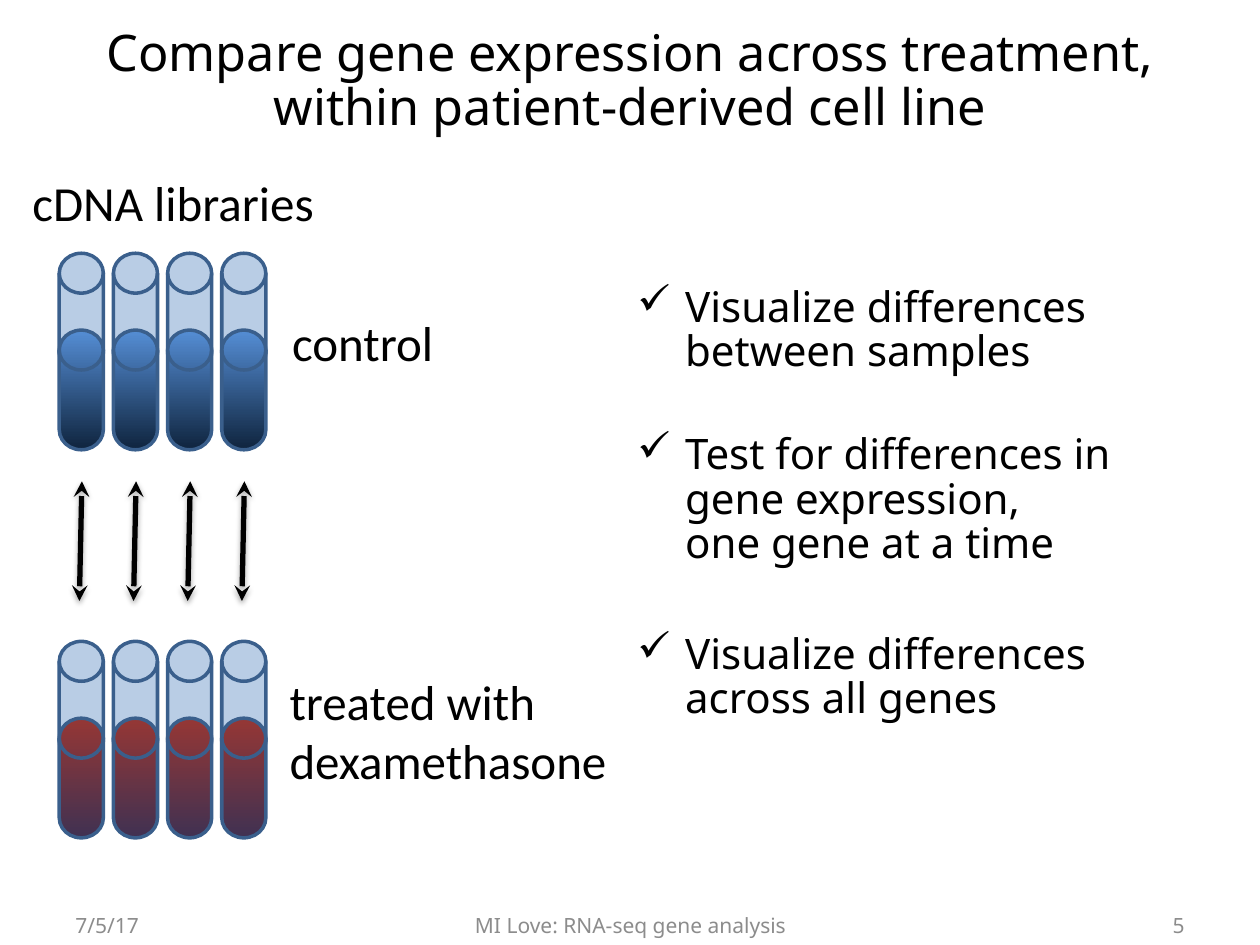
from dataclasses import dataclass

from lxml import etree
from pptx import Presentation
from pptx.dml.color import RGBColor
from pptx.enum.shapes import MSO_CONNECTOR as CONN, MSO_SHAPE as SHAPE
from pptx.enum.text import MSO_ANCHOR as ANCHOR, PP_ALIGN as ALIGN
from pptx.oxml.ns import qn
from pptx.util import Inches, Pt


@dataclass(frozen=True)
class Theme:
    text: str = "000000"
    muted: str = "8C8C8C"
    glass: str = "B9CDE5"
    outline: str = "3A5F8C"
    control: tuple = ("558ED5", "0F243E")
    treated: tuple = ("953735", "403152")
    main_font: str = "Noto Sans"
    label_font: str = "Calibri"
    title_size: float = 28.8
    body_size: float = 24
    label_size: float = 28
    footer_size: float = 12
    tight: float = 0.88


def rgb(value):
    return RGBColor.from_string(value)


class SlideBuilder:
    def __init__(self, slide, theme):
        self.slide = slide
        self.theme = theme

    def text(self, box, paragraphs, size, font=None, color=None, align=ALIGN.LEFT,
             anchor=ANCHOR.TOP, wrap=True, spacing=None):
        tf = self.slide.shapes.add_textbox(*map(Inches, box)).text_frame
        tf.word_wrap = wrap
        tf.vertical_anchor = anchor
        tf.text = "\n".join(paragraphs)
        for p in tf.paragraphs:
            p.alignment = align
            p.line_spacing = spacing
            for r in p.runs:
                r.font.size = Pt(size)
                r.font.name = font or self.theme.main_font
                r.font.color.rgb = rgb(color or self.theme.text)
        return tf

    def label(self, box, *lines):
        self.text(box, lines, self.theme.label_size, self.theme.label_font, wrap=False)

    def footer(self, left, width, words, align):
        self.text((left, 7.14, width, 0.4), [words], self.theme.footer_size,
                  color=self.theme.muted, align=align, anchor=ANCHOR.MIDDLE)

    def checklist(self, box, items):
        """Place (gap before in points, wording) items with check marks."""
        tf = self.text(box, [words for _, words in items], self.theme.body_size,
                       spacing=self.theme.tight)
        for p, (gap, _) in zip(tf.paragraphs, items):
            p.space_before = Pt(gap)
            props = p._p.get_or_add_pPr()
            props.set("marL", str(Inches(0.38)))
            props.set("indent", str(Inches(-0.38)))
            etree.SubElement(props, qn("a:buChar"), char="✓")

    def cylinder(self, left, top, colors):
        sp = self.slide.shapes.add_shape(SHAPE.FLOWCHART_MAGNETIC_DISK, Inches(left),
                                         Inches(top), Inches(0.35), Inches(0.95))
        sp.shadow.inherit = False
        sp.line.color.rgb = rgb(self.theme.outline)
        sp.line.width = Pt(2)
        if len(colors) == 1:
            sp.fill.solid()
            sp.fill.fore_color.rgb = rgb(colors[0])
        else:
            sp.fill.gradient()
            sp.fill.gradient_angle = 270
            for stop, color in zip(sp.fill.gradient_stops, colors):
                stop.color.rgb = rgb(color)

    def tube(self, left, top, liquid):
        self.cylinder(left, top, (self.theme.glass,))
        self.cylinder(left, top + 0.61, liquid)

    def double_arrow(self, left, top):
        line = self.slide.shapes.add_connector(
            CONN.STRAIGHT, Inches(left), Inches(top),
            Inches(left - 0.02), Inches(top + 0.95))
        line.line.color.rgb = rgb(self.theme.text)
        line.line.width = Pt(3)
        ln = line.line._get_or_add_ln()
        for end in ("a:headEnd", "a:tailEnd"):
            etree.SubElement(ln, qn(end), type="stealth")
        # Soft shadow straight below the arrow
        effects = etree.SubElement(line._element.spPr, qn("a:effectLst"))
        shadow = etree.SubElement(effects, qn("a:outerShdw"), blurRad=str(Pt(3.1)),
                                  dist=str(Pt(1.8)), dir="5400000", rotWithShape="0")
        color = etree.SubElement(shadow, qn("a:srgbClr"), val=self.theme.text)
        etree.SubElement(color, qn("a:alpha"), val="35000")


def main():
    prs = Presentation()
    prs.slide_width, prs.slide_height = Inches(10), Inches(7.5)
    theme = Theme()
    s = SlideBuilder(prs.slides.add_slide(prs.slide_layouts[6]), theme)

    # Title
    s.text((0.5, 0.03, 9, 1.25),
           ["Compare gene expression across treatment,\vwithin patient-derived cell line"],
           theme.title_size, align=ALIGN.CENTER, anchor=ANCHOR.MIDDLE,
           spacing=theme.tight)

    # Analysis steps
    s.checklist((4.96, 2.23, 4.54, 4.3), [
        (0, "Visualize differences \vbetween samples"),
        (33.5, "Test for differences in gene expression, \vone gene at a time"),
        (38, "Visualize differences\vacross all genes"),
    ])

    # Footer
    s.footer(0.5, 2.33, "7/5/17", ALIGN.LEFT)
    s.footer(3.42, 3.17, "MI Love: RNA-seq gene analysis", ALIGN.CENTER)
    s.footer(7.17, 2.33, "5", ALIGN.RIGHT)

    # Paired tubes: control above, treated below, an arrow between
    for i in range(4):
        shift = 0.43 * i
        s.tube(0.47 + shift, 2.01, theme.control)
        s.tube(0.47 + shift, 5.09, theme.treated)
        s.double_arrow(0.65 + shift, 3.82)

    # Tube labels
    s.label((2.22, 2.43, 1.35, 0.57), "control")
    s.label((2.2, 5.28, 2.76, 1.51), "treated with", "dexamethasone")
    s.label((0.16, 1.32, 2.47, 0.57), "cDNA libraries")

    prs.save("out.pptx")


if __name__ == "__main__":
    main()
